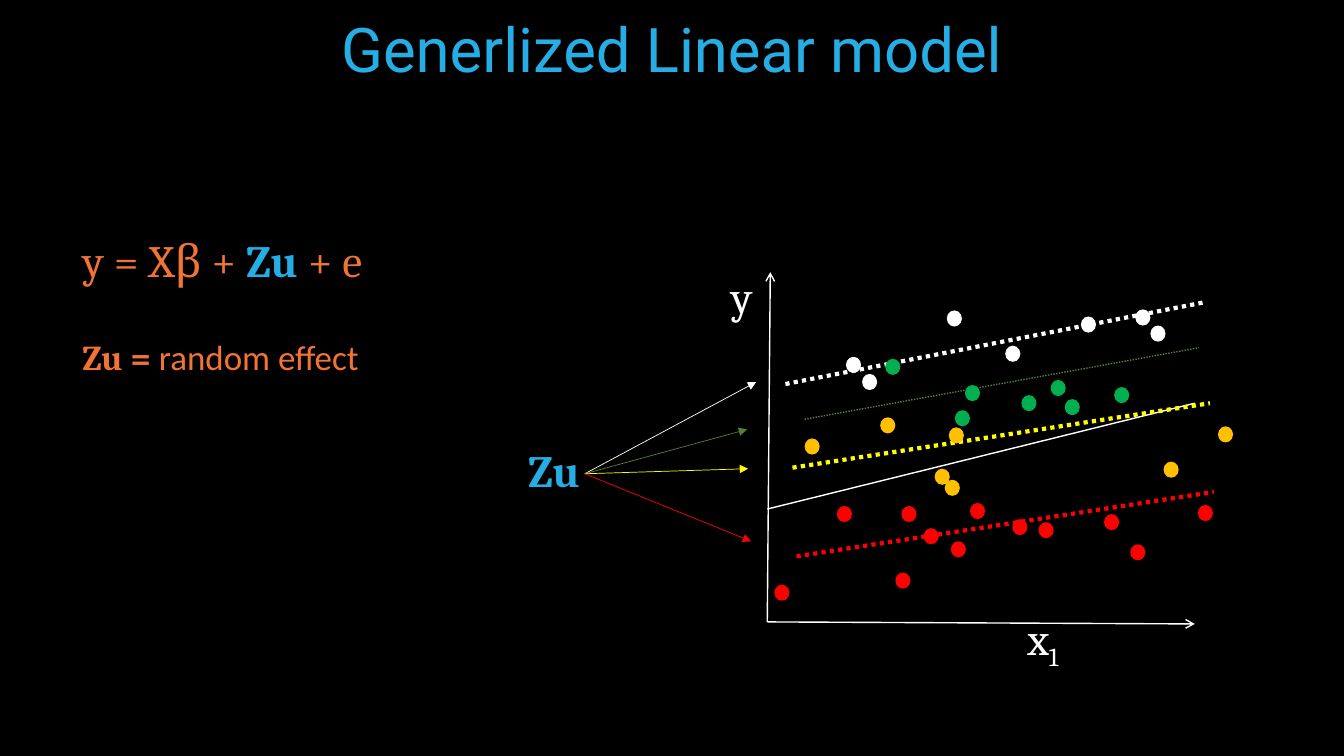
from dataclasses import dataclass
from lxml.etree import SubElement
from pptx import Presentation
from pptx.dml.color import RGBColor
from pptx.enum.shapes import MSO_CONNECTOR, MSO_SHAPE
from pptx.enum.text import PP_ALIGN
from pptx.oxml.ns import qn
from pptx.util import Inches, Pt


@dataclass(frozen=True)
class Theme:
    """Colours, fonts and type sizes."""
    black: str = "000000"
    white: str = "FFFFFF"
    blue: str = "26ADE4"
    orange: str = "F27435"
    moss: str = "548235"
    green: str = "00B050"
    yellow: str = "FFFF00"
    amber: str = "FFC000"
    red: str = "FF0000"
    head: str = "Roboto"
    math: str = "Cambria"
    body: str = "Calibri"
    title: int = 44
    formula: int = 32
    note: int = 25


T = Theme()
W, H = Inches(13.33), Inches(7.5)
COLS, ROWS = 133.3, 75
DOT = (1.5, 1.6)
GROUPS = [
    (T.white, T.white, 3, (1.8, 11.1, 43.3, 3),
     [(7.8, 8.4), (9.4, 10.1), (17.8, 3.8), (23.6, 7.3), (31.1, 4.4),
      (36.5, 3.7), (38, 5.3)]),
    (T.moss, T.green, 1, (3.7, 14.6, 42.8, 7.5),
     [(34.4, 11.4), (29.5, 12.6), (28.1, 10.7), (25.2, 12.2), (19.6, 11.2),
      (18.6, 13.7), (11.7, 8.6)]),
    (T.yellow, T.amber, 3, (2.5, 19.4, 43.9, 13),
     [(44.7, 15.3), (39.3, 18.8), (18, 15.4), (11.2, 14.4), (3.7, 16.5),
      (16.6, 19.5), (17.6, 20.6)]),
    (T.red, T.red, 3, (2.9, 28.2, 44.3, 21.8),
     [(0.7, 31), (6.9, 23.2), (12.7, 29.8), (13.3, 23.2), (15.5, 25.4),
      (18.2, 26.7), (20.1, 22.9), (24.3, 24.5), (26.9, 24.8), (33.4, 24),
      (36, 27), (42.7, 23.1)]),
]
EFFECTS = [(T.white, 23.6, 0), (T.moss, 22.7, 4.7),
           (T.yellow, 22.8, 8.6), (T.red, 23.1, 15.8)]


def grid(col, row):
    """Turn a column and a row into slide lengths."""
    return round(W * col / COLS), round(H * row / ROWS)


def place(box, col, row, cols, rows):
    """Return left, top, width and height of a part inside a box."""
    return *grid(box[0] + col, box[1] + row), *grid(cols, rows)


def add_text(s, at, paras, wrap=True, align=PP_ALIGN.LEFT, gap=0, **base):
    """Add a text box whose paragraphs are lists of (text, format) runs."""
    tf = s.shapes.add_textbox(*at).text_frame
    tf.word_wrap = wrap
    for i, runs in enumerate(paras):
        p = tf.add_paragraph() if i else tf.paragraphs[0]
        p.alignment = align
        p.space_before = Pt(gap if i else 0)
        for text, own in runs:
            fmt = {**base, **own}
            r = p.add_run()
            r.text = text
            r.font.name = fmt["font"]
            r.font.size = Pt(fmt["size"])
            r.font.bold = fmt.get("bold", False)
            r.font.color.rgb = RGBColor.from_string(fmt["color"])
            if "baseline" in fmt:
                r.font._element.set("baseline", str(fmt["baseline"]))


def add_line(s, box, ends, color, width, dash=None, tip=None):
    """Add a straight line, dashed or with an arrow tip if asked."""
    x1, y1, x2, y2 = ends
    c = s.shapes.add_connector(MSO_CONNECTOR.STRAIGHT,
                               *grid(box[0] + x1, box[1] + y1),
                               *grid(box[0] + x2, box[1] + y2))
    c.line.color.rgb = RGBColor.from_string(color)
    c.line.width = Pt(width)
    ln = c.line._get_or_add_ln()
    if dash:
        SubElement(ln, qn("a:prstDash")).set("val", dash)
    if tip:
        SubElement(ln, qn("a:tailEnd")).set("type", tip)
    SubElement(c._element.spPr, qn("a:effectLst"))


def add_dot(s, at, color):
    """Add one data point."""
    sp = s.shapes.add_shape(MSO_SHAPE.OVAL, *at)
    sp.shadow.inherit = False
    sp.fill.solid()
    sp.fill.fore_color.rgb = RGBColor.from_string(color)
    sp.line.fill.background()


def title(s, box):
    """Write the centred heading."""
    add_text(s, place(box, 0, 0, *box[2:]), [[("Generlized Linear model", {})]],
             align=PP_ALIGN.CENTER, font=T.head, size=T.title, color=T.blue)


def formula(s, box):
    """Write the model equation and its explanation."""
    note = {"size": T.note}
    add_text(s, place(box, 0, 0, *box[2:]), [
        [("y = Xβ + ", {}), ("Zu ", {"color": T.blue, "bold": True}),
         ("+ e", {})],
        [("Zu = ", {**note, "bold": True}),
         ("random effect", {**note, "font": T.body})],
    ], gap=35, font=T.math, size=T.formula, color=T.orange)


def random_effects(s, box):
    """Draw the fan of arrows from Zu to the groups."""
    add_text(s, place(box, 0, 5.5, 8, 6.4), [[("Zu", {})]],
             font=T.math, size=T.formula, color=T.blue, bold=True)
    for color, x, y in EFFECTS:
        add_line(s, box, (6.6, 9.1, x, y), color, 0.5, tip="triangle")


def scatter(s, box):
    """Draw axes, trend lines and data points."""
    cols, rows = box[2:]
    label = dict(wrap=False, font=T.math, size=T.formula, color=T.white)
    add_text(s, place(box, -4.6, -0.8, 4.3, 6.4), [[("y", {})]], **label)
    add_text(s, place(box, 24.8, 33.1, 5.9, 6.4),
             [[("x", {}), ("1", {"baseline": -25000})]], **label)
    add_line(s, box, (0, rows, 0.3, 0), T.white, 1, tip="arrow")
    add_line(s, box, (0, rows, cols, rows + 0.2), T.white, 1, tip="arrow")
    add_line(s, box, (0, 23.5, cols, 13), T.white, 1)
    for color, _, width, ends, _ in GROUPS:
        add_line(s, box, ends, color, width, dash="sysDot")
    for _, color, _, _, dots in GROUPS:
        for col, row in dots:
            add_dot(s, place(box, col, row, *DOT), color)


prs = Presentation()
prs.slide_width, prs.slide_height = W, H
s = prs.slides.add_slide(prs.slide_layouts[6])
s.background.fill.solid()
s.background.fill.fore_color.rgb = RGBColor.from_string(T.black)
title(s, (0, 0.6, COLS, 8.4))
formula(s, (7.2, 22.6, 50.6, 14.8))
random_effects(s, (51.4, 37.9, 23.6, 15.8))
scatter(s, (76.1, 27, 42.4, 34.7))
prs.save("out.pptx")
